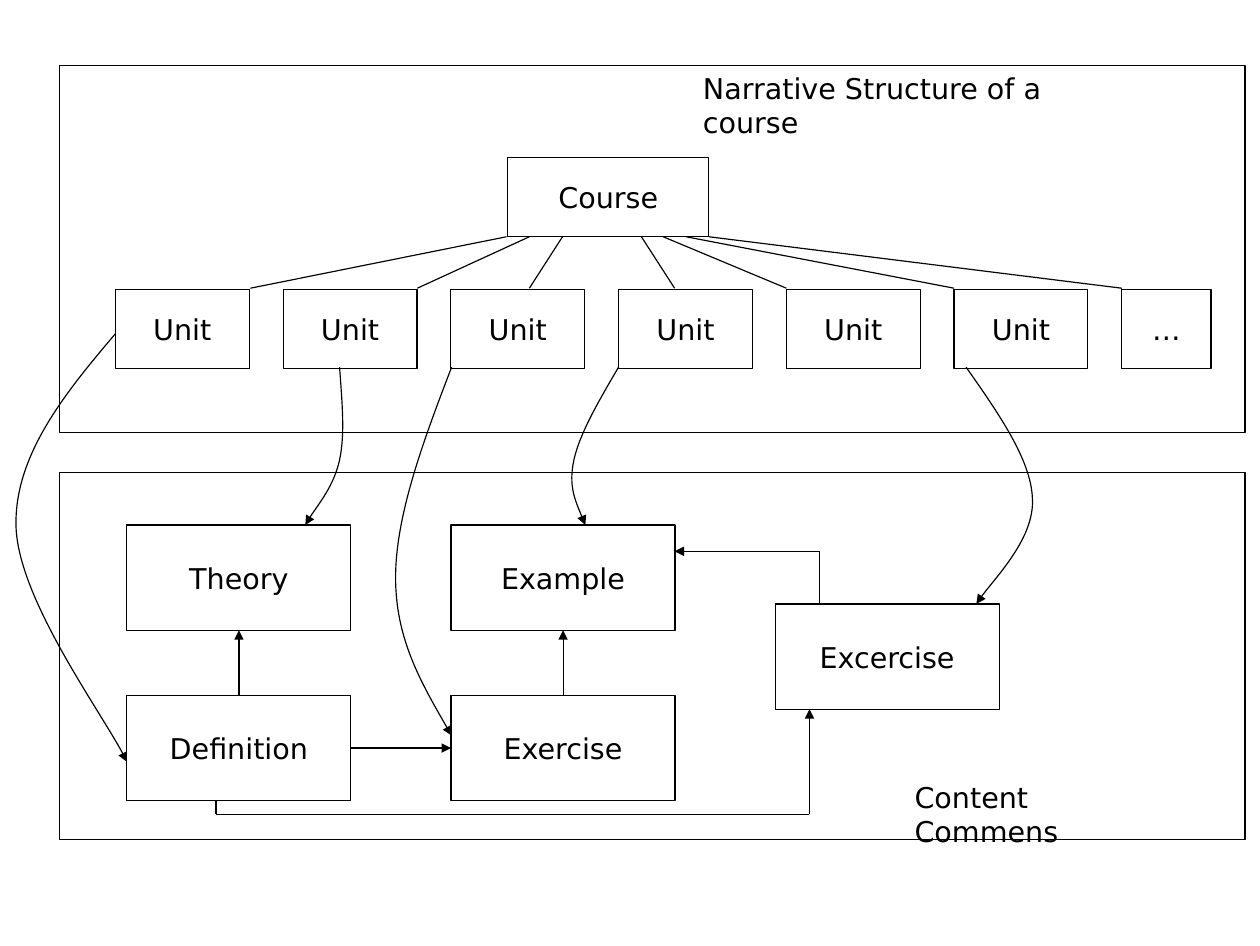
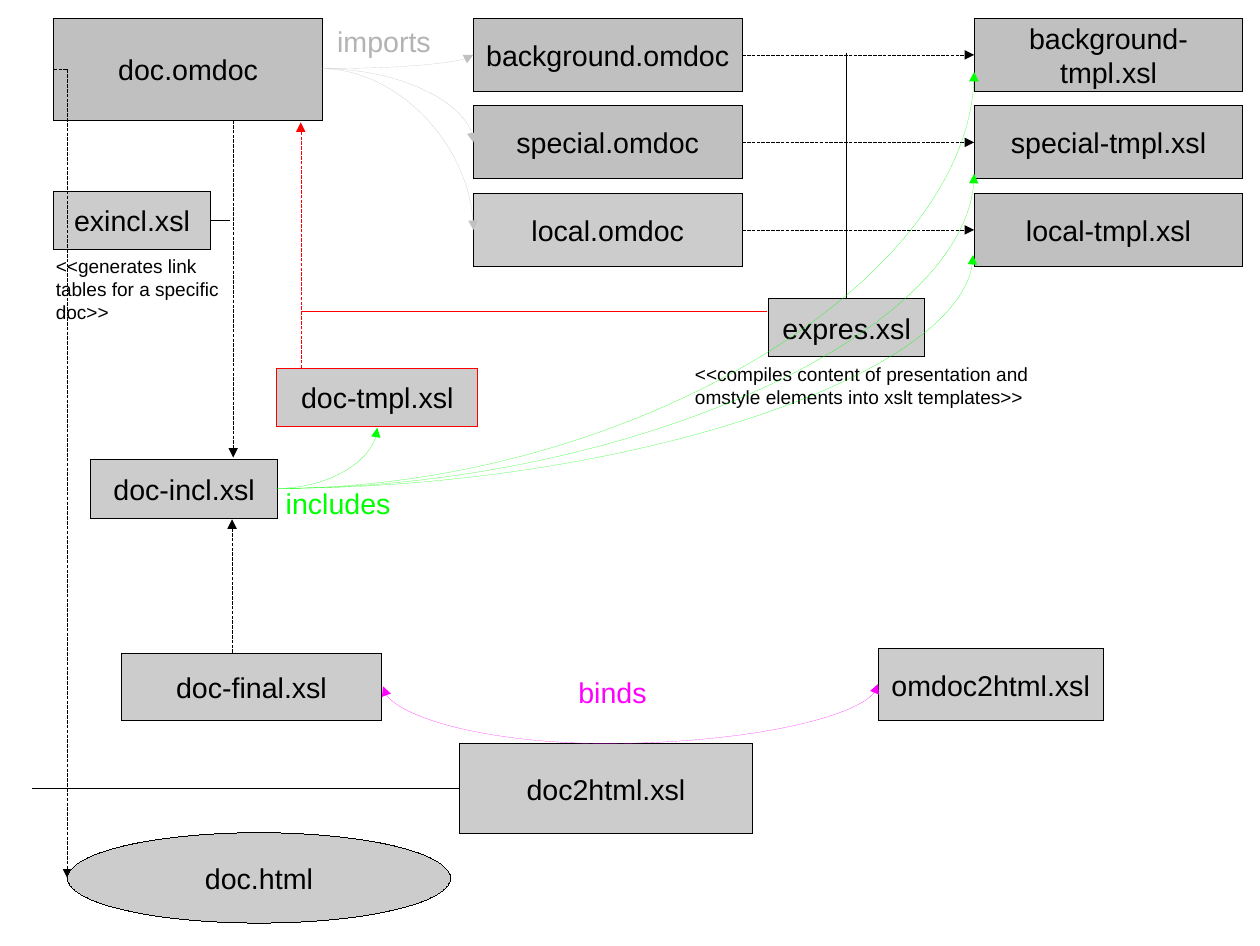
from dataclasses import dataclass
from lxml.etree import SubElement
from pptx import Presentation
from pptx.dml.color import RGBColor
from pptx.enum.dml import MSO_LINE_DASH_STYLE as Dash
from pptx.enum.shapes import MSO_CONNECTOR as Conn, MSO_SHAPE as Form
from pptx.enum.text import MSO_ANCHOR as Anchor, PP_ALIGN as Align
from pptx.oxml.ns import qn
from pptx.oxml.xmlchemy import OxmlElement as Node
from pptx.util import Inches, Pt


@dataclass(frozen=True)
class Theme:
    black: str = "000000"
    white: str = "FFFFFF"
    dark: str = "C0C0C0"
    light: str = "CCCCCC"
    label: str = "B3B3B3"
    red: str = "FF0000"
    green: str = "00FF00"
    pink: str = "FF00FF"
    course: str = "DejaVu Sans"
    files: str = "Arial"
    body: int = 18
    note: int = 12
    thin: float = 0.75
    hair: float = 0


T = Theme()
SIZE = (11.02, 8.27)


def write(frame, text, font=T.files, size=T.body, color=T.black,
          align=Align.LEFT, anchor=Anchor.TOP):
    """Fill a text frame, one paragraph per line."""
    frame.word_wrap = True
    frame.vertical_anchor = anchor
    frame.text = text
    for para in frame.paragraphs:
        para.alignment = align
        para.font.name = font
        para.font.size = Pt(size)
        para.font.color.rgb = RGBColor.from_string(color)


def stroke(item, color, width, dash=False, arrow=False):
    """Set the outline; a zero width is a hairline."""
    item.line.color.rgb = RGBColor.from_string(color)
    if dash:
        item.line.dash_style = Dash.SQUARE_DOT
    ln = item.element.spPr.find(qn("a:ln"))
    ln.set("w", str(int(Pt(width))))
    if arrow:
        SubElement(ln, qn("a:tailEnd"), type="triangle")


@dataclass
class Pane:
    """A region with a grid of one-inch cells, counted from its corner."""
    slide: object
    left: float = 0
    top: float = 0
    font: str = T.files
    width: float = T.hair

    def spot(self, x, y):
        return Inches(self.left + x), Inches(self.top + y)

    def paint(self, shape, fill):
        shape.shadow.inherit = False
        if fill:
            shape.fill.solid()
            shape.fill.fore_color.rgb = RGBColor.from_string(fill)
        else:
            shape.fill.background()

    def box(self, x, y, w, h, text="", fill=None, edge=T.black,
            form=Form.RECTANGLE):
        shape = self.slide.shapes.add_shape(
            form, *self.spot(x, y), Inches(w), Inches(h))
        self.paint(shape, fill)
        stroke(shape, edge, self.width)
        if text:
            write(shape.text_frame, text, font=self.font,
                  align=Align.CENTER, anchor=Anchor.MIDDLE)

    def note(self, x, y, w, h, text, **style):
        box = self.slide.shapes.add_textbox(
            *self.spot(x, y), Inches(w), Inches(h))
        write(box.text_frame, text, font=self.font, **style)

    def link(self, start, end, kind=Conn.STRAIGHT, color=T.black,
             dash=False, arrow=True):
        line = self.slide.shapes.add_connector(
            kind, *self.spot(*start), *self.spot(*end))
        stroke(line, color, self.width, dash, arrow)
        props = line.element.spPr
        SubElement(props, qn("a:effectLst"))
        if kind == Conn.STRAIGHT:
            return
        # A single bend: leave sideways, arrive upright
        geom = props.find(qn("a:prstGeom"))
        geom.set("prst", geom.get("prst").replace("3", "2"))
        frame = props.find(qn("a:xfrm"))
        if frame.get("flipH") and frame.get("flipV"):
            del frame.attrib["flipH"], frame.attrib["flipV"]
            frame.set("rot", "10800000")

    def arc(self, *points):
        """Bezier arrow: a start, then three points per section."""
        start, *rest = [self.spot(*p) for p in points]
        pen = self.slide.shapes.build_freeform(*start)
        pen.add_line_segments(rest, close=False)
        shape = pen.convert_to_shape()
        self.paint(shape, None)
        path = shape.element.spPr.find(".//" + qn("a:path"))
        steps = path.findall(qn("a:lnTo"))
        for i in range(0, len(steps), 3):
            cubic = Node("a:cubicBezTo")
            steps[i].addprevious(cubic)
            for step in steps[i:i + 3]:
                cubic.append(step[0])
                path.remove(step)
        stroke(shape, T.black, self.width, arrow=True)


# Course slide
FRAME = (10.37, 3.21)
UNITS = [0.49 + 1.467 * i for i in range(7)]
UNIT = (1.17, 0.69)


def story(pane):
    pane.box(0, 0, *FRAME)
    pane.note(5.53, 0, 4.03, 0.44, "Narrative Structure of a course")
    pane.box(3.92, 0.81, 1.76, 0.69, "Course")
    for x in UNITS[1:6]:
        pane.box(x, 1.96, *UNIT, "Unit")
    pane.box(UNITS[6], 1.96, 0.78, 0.69, "…")
    # Fan from the course down to its units
    fan = [(1.67, 3.91), (3.13, 4.11), (4.11, 4.4), (5.38, 5.09),
           (UNITS[4], 5.28), (UNITS[5], 5.48), (UNITS[6], 5.68)]
    for low, high in fan:
        pane.link((low, 1.95), (high, 1.5), arrow=False)


def commons(pane):
    pane.box(0, 0, *FRAME)
    pane.note(7.38, 2.64, 2.51, 0.44, "Content Commens")
    cols = [0.59 + 2.835 * i for i in range(3)]
    cells = [(0, 1.95, "Definition"), (1, 1.95, "Exercise"),
             (0, 0.46, "Theory"), (1, 0.46, "Example"),
             (2, 1.15, "Excercise")]
    for col, y, name in cells:
        pane.box(cols[col], y, 1.96, 0.92, name)
    for x in cols[:2]:
        pane.link((x + 0.98, 1.95), (x + 0.98, 1.38))
    pane.link((2.55, 2.41), (cols[1], 2.41))
    # Routes to and from the right-hand box
    pane.link((6.56, 2.99), (6.56, 2.07))
    pane.link((6.56, 2.99), (1.37, 2.99), arrow=False)
    pane.link((1.37, 2.99), (1.37, 2.87), arrow=False)
    pane.link((6.65, 0.69), (5.38, 0.69))
    pane.link((6.65, 0.69), (6.65, 1.15), arrow=False)


def course(slide):
    look = dict(font=T.course, width=T.thin)
    page = Pane(slide, **look)
    upper = Pane(slide, 0.52, 0.57, **look)
    commons(Pane(slide, 0.52, 4.13, **look))
    story(upper)
    # Arrows from units to content
    page.arc((1.05, 2.87), (0.59, 3.41), (0.13, 3.96), (0.14, 4.59),
             (0.15, 5.22), (0.95, 6.31), (1.11, 6.66))
    upper.box(UNITS[0], 1.96, *UNIT, "Unit", fill=T.white)
    page.arc((2.97, 3.21), (2.99, 3.5), (3.02, 3.79), (2.97, 4.02),
             (2.92, 4.25), (2.72, 4.49), (2.67, 4.59))
    page.arc((3.95, 3.21), (3.7, 3.86), (3.46, 4.51), (3.46, 5.05),
             (3.46, 5.58), (3.7, 6), (3.95, 6.43))
    page.arc((5.41, 3.21), (5.24, 3.5), (5.07, 3.79), (5.02, 4.02),
             (4.97, 4.25), (5.05, 4.42), (5.12, 4.59))
    page.arc((8.45, 3.21), (8.73, 3.61), (9.02, 4.02), (9.03, 4.36),
             (9.05, 4.7), (8.63, 5.13), (8.54, 5.28))


# File slide
def inputs(pane):
    """Source documents and the templates made from them."""
    pane.box(0, 0, 2.35, 0.89, "doc.omdoc", fill=T.dark)
    rows = [("background", "background-\ntmpl.xsl", T.dark),
            ("special", "special-tmpl.xsl", T.dark),
            ("local", "local-tmpl.xsl", T.light)]
    for i, (name, made, fill) in enumerate(rows):
        y = 0.765 * i
        pane.box(3.67, y, 2.35, 0.64, name + ".omdoc", fill=fill)
        pane.box(8.05, y, 2.35, 0.64, made, fill=T.dark)
        pane.link((2.34, 0.44), (3.67, y + 0.32), Conn.CURVE, T.dark)
        pane.link((6.02, y + 0.32), (8.05, y + 0.32), dash=True)
    pane.note(2.38, 0, 1.28, 0.47, "imports", color=T.label)


def styles(pane):
    """Style sheets that link and compile."""
    pane.link((6.93, 0.94), (6.93, -1.2), arrow=False)
    pane.box(6.25, 0.94, 1.37, 0.51, "expres.xsl", fill=T.light)
    pane.box(0.32, 2.35, 1.64, 0.51, "doc-incl.xsl", fill=T.light)
    pane.link((1.57, -0.62), (1.57, 2.33), dash=True)
    pane.box(1.95, 1.55, 1.76, 0.51, "doc-tmpl.xsl", fill=T.light,
             edge=T.red)
    pane.link((2.16, 1.55), (2.16, -0.6), color=T.red, dash=True)
    pane.link((6.23, 1.05), (2.17, 1.05), color=T.red, arrow=False)
    pane.note(-0.08, 0.51, 1.76, 0.84, size=T.note,
              text="<<generates link tables for a specific doc>>")
    pane.note(5.51, 1.45, 3.17, 0.6, size=T.note,
              text="<<compiles content of presentation and "
                   "omstyle elements into xslt templates>>")
    for end in [(8.05, -1.04), (8.05, -0.15), (8.04, 0.56), (2.83, 2.07)]:
        pane.link((1.95, 2.6), end, Conn.CURVE, T.green)
    pane.link((1.14, 0.26), (1.54, 0.26), arrow=False)
    pane.box(0, 0, 1.37, 0.51, "exincl.xsl", fill=T.light)
    pane.note(1.93, 2.53, 1.38, 0.47, "includes", color=T.green)


def output(pane):
    """Final style sheets and the page they yield."""
    pane.box(0.59, 0.04, 2.28, 0.59, "doc-final.xsl", fill=T.light)
    pane.link((1.56, 0.04), (1.56, -1.13), dash=True)
    pane.link((0, -5.07), (0.12, 2.01), Conn.ELBOW, dash=True)
    pane.box(0.12, 1.61, 3.35, 0.79, "doc.html", fill=T.light,
             form=Form.OVAL)
    pane.box(3.55, 0.83, 2.56, 0.79, "doc2html.xsl", fill=T.light)
    pane.link((-0.19, 1.22), (3.55, 1.22), arrow=False)
    pane.note(4.49, 0.18, 1.38, 0.47, "binds", color=T.pink)
    pane.box(7.21, 0, 1.97, 0.63, "omdoc2html.xsl", fill=T.light)
    for end in [(2.88, 0.33), (7.21, 0.31)]:
        pane.link((4.83, 0.83), end, Conn.CURVE, T.pink)


def files(slide):
    for part, top in [(inputs, 0.16), (styles, 1.67), (output, 5.67)]:
        part(Pane(slide, 0.47, top))


def main():
    deck = Presentation()
    deck.slide_width, deck.slide_height = map(Inches, SIZE)
    for build in (course, files):
        build(deck.slides.add_slide(deck.slide_layouts[6]))
    deck.save("out.pptx")


if __name__ == "__main__":
    main()
